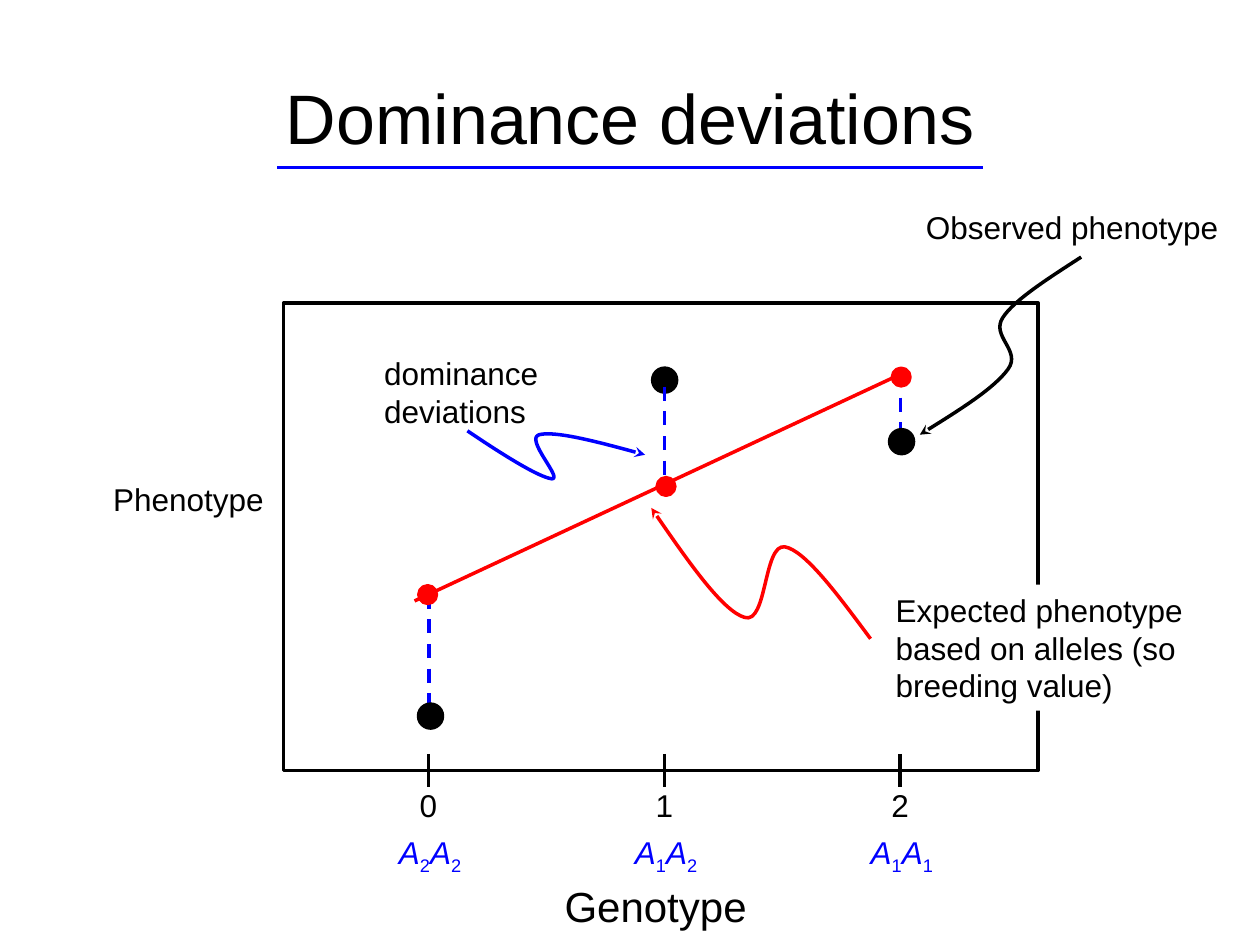
import lxml.etree
import pptx
import pptx.dml.color
import pptx.enum.dml
import pptx.enum.shapes
import pptx.enum.text
import pptx.oxml.ns
import pptx.util

Pt = pptx.util.Pt
qn = pptx.oxml.ns.qn
ALIGN = pptx.enum.text.PP_ALIGN
SHAPE = pptx.enum.shapes.MSO_SHAPE
BLACK = pptx.dml.color.RGBColor(0, 0, 0)
WHITE = pptx.dml.color.RGBColor(255, 255, 255)
RED = pptx.dml.color.RGBColor(255, 0, 0)
BLUE = pptx.dml.color.RGBColor(0, 0, 255)


class Diagram:
    font_name = "Arial"
    text_size = 18
    line_width = 2

    def __init__(self, page):
        self.page = page

    def style_text(self, paragraph, size, color, align):
        paragraph.alignment = align
        for span in paragraph.runs:
            span.font.name = self.font_name
            span.font.size = Pt(size)
            span.font.color.rgb = color

    def style_line(self, item, color):
        item.line.color.rgb = color
        item.line.width = Pt(self.line_width)

    def title(self, text, left, top, width, height):
        box = self.page.shapes.title
        box.left, box.top, box.width, box.height = map(Pt, (left, top, width, height))
        box.text_frame.text = text
        box.text_frame.vertical_anchor = pptx.enum.text.MSO_ANCHOR.MIDDLE
        self.style_text(box.text_frame.paragraphs[0], 40, BLACK, ALIGN.CENTER)

    def text(self, text, left, top, width, height, size=text_size,
             align=ALIGN.LEFT, filled=False):
        box = self.page.shapes.add_textbox(*map(Pt, (left, top, width, height)))
        box.text_frame.word_wrap = True
        box.text_frame.text = text
        self.style_text(box.text_frame.paragraphs[0], size, BLACK, align)
        if filled:
            box.fill.solid()
            box.fill.fore_color.rgb = WHITE

    def genotype(self, alleles, center, top):
        """Write each allele number as a subscript of an italic A."""
        box = self.page.shapes.add_textbox(Pt(center - 40), Pt(top), Pt(80), Pt(32))
        box.text_frame.word_wrap = True
        paragraph = box.text_frame.paragraphs[0]
        for number in alleles:
            letter = paragraph.add_run()
            letter.text = "A"
            letter.font.italic = True
            subscript = paragraph.add_run()
            subscript.text = number
            subscript.font._element.set("baseline", "-25000")
        self.style_text(paragraph, self.text_size, BLUE, ALIGN.CENTER)

    def frame(self, left, top, width, height):
        box = self.page.shapes.add_shape(
            SHAPE.RECTANGLE, *map(Pt, (left, top, width, height)))
        box.shadow.inherit = False
        box.fill.background()
        self.style_line(box, BLACK)

    def dot(self, x, y, diameter, color):
        dot = self.page.shapes.add_shape(
            SHAPE.OVAL, Pt(x - diameter / 2), Pt(y - diameter / 2),
            Pt(diameter), Pt(diameter))
        dot.shadow.inherit = False
        dot.fill.solid()
        dot.fill.fore_color.rgb = color
        self.style_line(dot, color)

    def line(self, x1, y1, x2, y2, color, dashed=False):
        line = self.page.shapes.add_connector(
            pptx.enum.shapes.MSO_CONNECTOR.STRAIGHT, *map(Pt, (x1, y1, x2, y2)))
        self.style_line(line, color)
        if dashed:
            line.line.dash_style = pptx.enum.dml.MSO_LINE.DASH
        lxml.etree.SubElement(line._element.spPr, qn("a:effectLst"))

    def curved_arrow(self, points, color):
        """Draw cubic curves: a start, then two controls and an end for each."""
        start, *others = [(Pt(x), Pt(y)) for x, y in points]
        builder = self.page.shapes.build_freeform(*start)
        builder.add_line_segments(others, close=False)
        arrow = builder.convert_to_shape()
        arrow.shadow.inherit = False
        arrow.fill.background()
        self.style_line(arrow, color)
        lxml.etree.SubElement(arrow.line._ln, qn("a:tailEnd"), type="stealth")
        outline = next(arrow._element.iter(qn("a:path")))
        segments = outline.findall(qn("a:lnTo"))
        for first in range(0, len(segments), 3):
            curve = lxml.etree.SubElement(outline, qn("a:cubicBezTo"))
            for segment in segments[first:first + 3]:
                curve.append(segment[0])
                outline.remove(segment)


def main():
    deck = pptx.Presentation()
    deck.slide_width, deck.slide_height = Pt(720), Pt(540)
    page = deck.slides.add_slide(deck.slide_layouts[5])
    diagram = Diagram(page)

    diagram.title("Dominance deviations", 36, 21.6, 648, 90)
    diagram.line(158.4, 95.8, 561.6, 95.8, BLUE)
    diagram.frame(162, 173.2, 431.3, 267.1)

    columns = [244.8, 379.6, 514.4]
    observed = [(246, 409.2), (379.8, 217.2), (515.2, 252.4)]
    expected = [(244.4, 339.8), (380.6, 278), (515, 215.5)]
    for count, (x, alleles) in enumerate(zip(columns, ("22", "12", "11"))):
        diagram.line(x, 430.8, x, 449.8, BLACK)
        diagram.text(str(count), x - 20, 445.7, 40, 28.8, align=ALIGN.CENTER)
        diagram.genotype(alleles, x + 1, 472.5)
    diagram.text("Genotype", 304.6, 499.7, 140, 36, size=24, align=ALIGN.CENTER)
    diagram.text("Phenotype", 57.6, 270.7, 104, 28.8)

    diagram.dot(*observed[1], 13.7, BLACK)
    diagram.line(236.9, 343.4, 517.7, 212.4, RED)
    diagram.curved_arrow(
        [(497.5, 365), (478.8, 339.8), (460.1, 314.6), (448.6, 312.5),
         (436.3, 310.3), (438.5, 357.1), (425.5, 352.8),
         (413.3, 349.2), (392.4, 319.7), (372.2, 290.2)], RED)
    diagram.text("Expected phenotype based on alleles (so breeding value)",
                 504.7, 334.1, 199.4, 72, filled=True)
    for x, top, bottom in zip(columns, (339.8, 221, 213.1), (403.9, 276.5, 253.4)):
        diagram.line(x + 0.2, top, x + 0.2, bottom, BLUE, dashed=True)
    diagram.text("dominance deviations", 212.4, 198.7, 146.9, 50.4)
    diagram.curved_arrow(
        [(267.1, 246.2), (287.3, 259.9), (308.2, 272.9), (315.4, 273.6),
         (321.8, 273.6), (299.5, 250.6), (308.2, 248.4),
         (316.8, 246.2), (342.7, 252.7), (368.6, 259.9)], BLUE)
    for point in expected:
        diagram.dot(*point, 10.1, RED)
    for point in observed[::2]:
        diagram.dot(*point, 13.7, BLACK)
    diagram.curved_arrow(
        [(617.8, 146.9), (599, 159.1), (579.6, 171.4), (573.1, 181.4),
         (565.9, 192.2), (583.9, 200.2), (576, 211),
         (568.1, 221.8), (546.5, 235.4), (525.6, 248.4)], BLACK)
    diagram.text("Observed phenotype", 522, 115.2, 198, 28.8, filled=True)

    deck.save("out.pptx")


if __name__ == "__main__":
    main()
